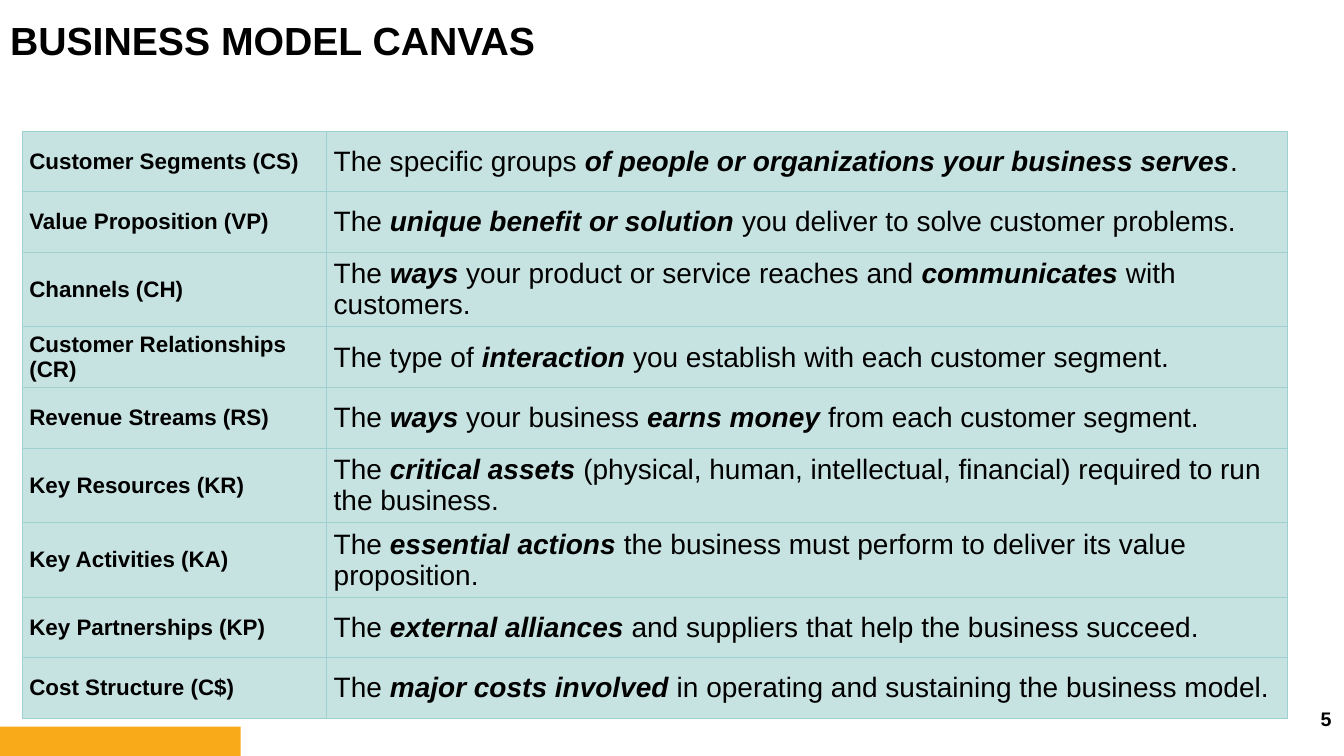
from lxml.etree import SubElement
from pptx import Presentation
from pptx.dml.color import RGBColor
from pptx.enum.shapes import MSO_SHAPE
from pptx.enum.text import MSO_ANCHOR, MSO_AUTO_SIZE, PP_ALIGN
from pptx.oxml.ns import qn
from pptx.util import Pt

# Content: asterisks enclose the emphasised words
TITLE = "BUSINESS MODEL CANVAS"
PAGE_NUMBER = "5"
BLOCKS = [
    ("Customer Segments (CS)",
     "The specific groups *of people or organizations your business serves*."),
    ("Value Proposition (VP)",
     "The *unique benefit or solution *you deliver to solve customer problems."),
    ("Channels (CH)",
     "The *ways* your product or service reaches and *communicates* with customers."),
    ("Customer Relationships (CR)",
     "The type of *interaction* you establish with each customer segment."),
    ("Revenue Streams (RS)",
     "The *ways* your business *earns money *from each customer segment."),
    ("Key Resources (KR)",
     "The *critical assets *(physical, human, intellectual, financial) required to run the business."),
    ("Key Activities (KA)",
     "The *essential actions *the business must perform to deliver its value proposition."),
    ("Key Partnerships (KP)",
     "The *external alliances *and suppliers that help the business succeed."),
    ("Cost Structure (C$)",
     "The *major costs involved *in operating and sustaining the business model."),
]

# Style and layout, in points
FONT = "Arial"
BLACK, ORANGE, CELL_FILL, CELL_BORDER = "000000", "F9AA19", "C7E3E1", "9FD1D0"
SLIDE_WIDTH, SLIDE_HEIGHT = 960, 540
TABLE_LEFT, TABLE_TOP = 16, 93.8
COLUMN_WIDTHS = (217.4, 686.2)
ROW_HEIGHT = 43.2
BAR_WIDTH, BAR_HEIGHT = 172, 21


def color(value):
    return RGBColor.from_string(value)


def set_font(paragraph, size, bold):
    font = paragraph.font
    font.name, font.size, font.bold = FONT, Pt(size), bold
    font.color.rgb = color(BLACK)


def add_borders(cell):
    properties = cell._tc.get_or_add_tcPr()
    for index, side in enumerate(("a:lnL", "a:lnR", "a:lnT", "a:lnB")):
        line = properties.makeelement(qn(side), {"w": str(Pt(0.5))})
        fill = SubElement(line, qn("a:solidFill"))
        SubElement(fill, qn("a:srgbClr"), val=CELL_BORDER)
        properties.insert(index, line)


def fill_cell(cell, text, size, bold):
    cell.fill.solid()
    cell.fill.fore_color.rgb = color(CELL_FILL)
    add_borders(cell)
    cell.vertical_anchor = MSO_ANCHOR.MIDDLE
    cell.margin_left = cell.margin_right = Pt(5)
    cell.margin_top = cell.margin_bottom = Pt(2.6)
    paragraph = cell.text_frame.paragraphs[0]
    set_font(paragraph, size, bold)
    for index, part in enumerate(text.split("*")):
        run = paragraph.add_run()
        run.text = part
        run.font.name, run.font.size = FONT, Pt(size)
        run.font.color.rgb = color(BLACK)
        emphasised = index % 2 == 1
        run.font.bold = bold or emphasised
        run.font.italic = emphasised


presentation = Presentation()
presentation.slide_width, presentation.slide_height = Pt(SLIDE_WIDTH), Pt(SLIDE_HEIGHT)
slide = presentation.slides.add_slide(presentation.slide_layouts[5])

# Corner bar
bar = slide.shapes.add_shape(MSO_SHAPE.RECTANGLE, Pt(0), Pt(SLIDE_HEIGHT - BAR_HEIGHT),
                             Pt(BAR_WIDTH), Pt(BAR_HEIGHT))
bar.shadow.inherit = False
bar.fill.solid()
bar.fill.fore_color.rgb = color(ORANGE)
bar.line.fill.background()

# Title
title = slide.shapes.title
title.left, title.top, title.width, title.height = Pt(0), Pt(10.8), Pt(486), Pt(40)
title.text_frame.text = TITLE
title.text_frame.auto_size = MSO_AUTO_SIZE.NONE
title.text_frame.vertical_anchor = MSO_ANCHOR.MIDDLE
heading = title.text_frame.paragraphs[0]
heading.alignment = PP_ALIGN.LEFT
heading.line_spacing = 0.9
set_font(heading, 28, True)

# Page number
number_box = slide.shapes.add_textbox(Pt(857.5), Pt(499), Pt(93.6), Pt(28.8))
number_box.text_frame.word_wrap = True
number_box.text_frame.vertical_anchor = MSO_ANCHOR.MIDDLE
number_box.text_frame.margin_right = Pt(0)
number = number_box.text_frame.paragraphs[0]
number.text = PAGE_NUMBER
number.alignment = PP_ALIGN.RIGHT
set_font(number, 14, True)

# Table of building blocks
table = slide.shapes.add_table(len(BLOCKS), len(COLUMN_WIDTHS), Pt(TABLE_LEFT), Pt(TABLE_TOP),
                               Pt(sum(COLUMN_WIDTHS)), Pt(ROW_HEIGHT * len(BLOCKS))).table
table.first_row = table.horz_banding = False
for column, width in zip(table.columns, COLUMN_WIDTHS):
    column.width = Pt(width)
for row, (name, description) in zip(table.rows, BLOCKS):
    row.height = Pt(ROW_HEIGHT)
    fill_cell(row.cells[0], name, 16, True)
    fill_cell(row.cells[1], description, 20, False)

presentation.save("out.pptx")
